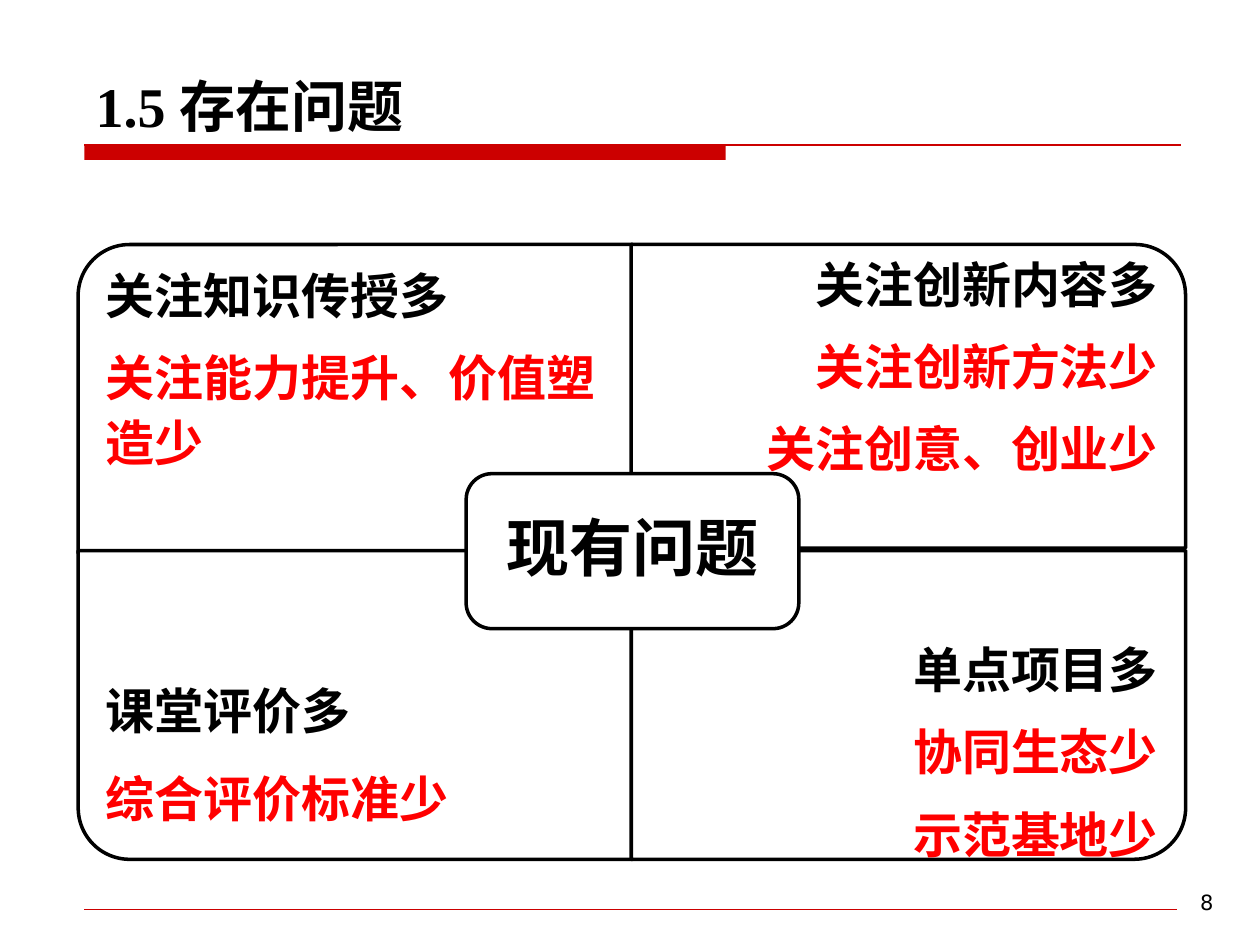
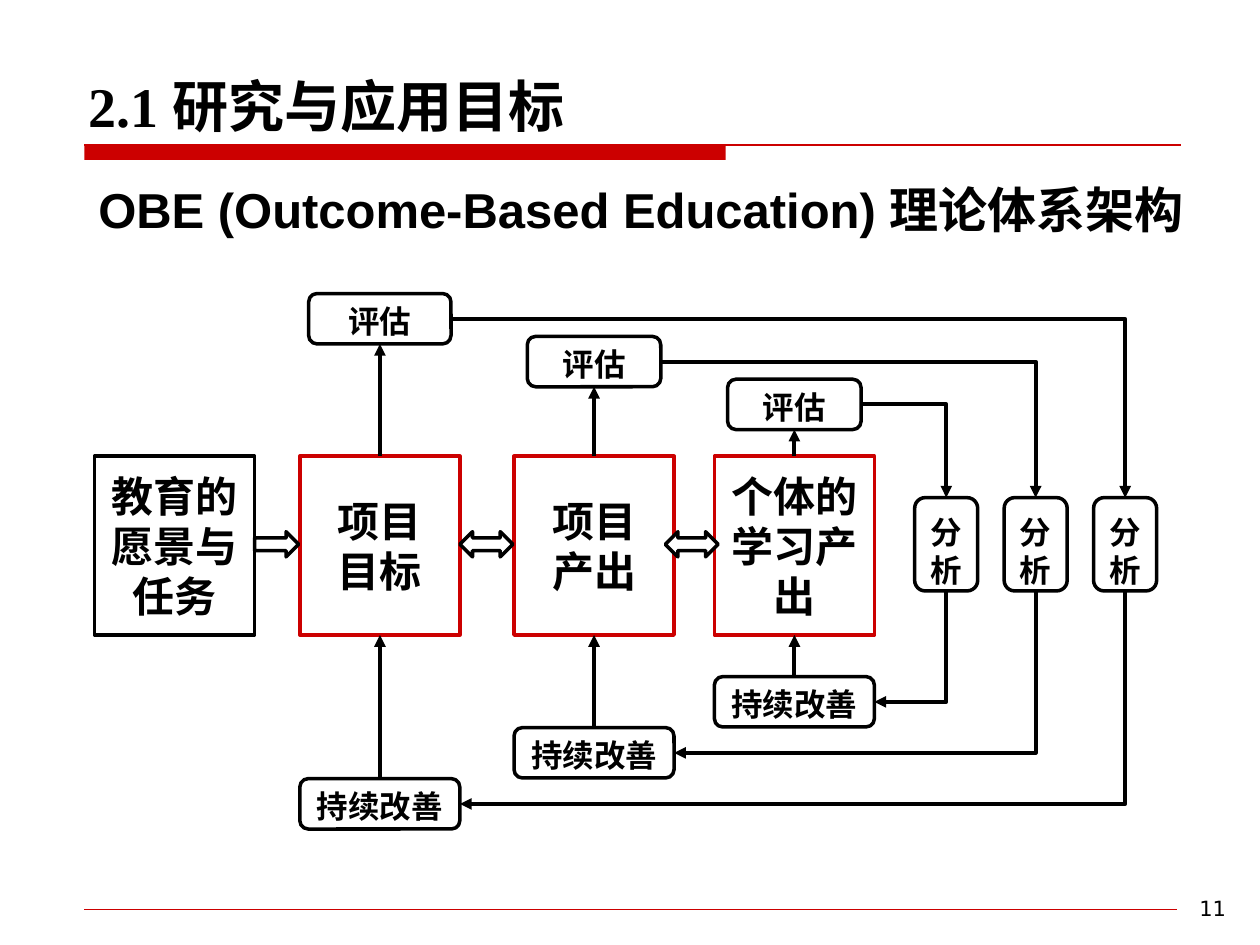
from lxml.etree import SubElement
from pptx import Presentation
from pptx.dml.color import RGBColor
from pptx.enum.shapes import MSO_CONNECTOR, MSO_SHAPE
from pptx.enum.text import MSO_ANCHOR, MSO_AUTO_SIZE, PP_ALIGN
from pptx.oxml.ns import qn
from pptx.util import Inches, Pt

BLACK = RGBColor(0, 0, 0)
WHITE = RGBColor(255, 255, 255)
BRAND = RGBColor(0xCC, 0, 0)
RED = RGBColor(255, 0, 0)
HAN, SERIF, SANS, DIGIT = "Noto Sans CJK SC", "Times New Roman", "Arial", "DejaVu Sans"
LEFT, MID, RIGHT = PP_ALIGN.LEFT, PP_ALIGN.CENTER, PP_ALIGN.RIGHT
TOP, CENTER = MSO_ANCHOR.TOP, MSO_ANCHOR.MIDDLE

# name, left, top, turn, text top, text height, align, line points, lines
QUADS = [
    (0.62, 1.94, 2.45, 270, 1.94, 1.84, LEFT, 37, ["关注知识传授多", "关注能力提升、价值塑造少"]),
    (5.01, 1.94, 2.41, 0, 1.94, 1.8, RIGHT, 37, ["关注创新内容多", "关注创新方法少", "关注创意、创业少"]),
    (0.62, 4.37, 2.45, 180, 4.98, 1.84, LEFT, 40, ["课堂评价多", "综合评价标准少"]),
    (5.01, 4.37, 2.45, 90, 4.98, 1.84, RIGHT, 37, ["单点项目多", "协同生态少", "示范基地少"]),
]
HUB = "现有问题"

THEME = "OBE (Outcome-Based Education) 理论体系架构"
STAGES = [
    (0.75, "教育的愿景与任务", BLACK),
    (2.38, "项目\n目标", BRAND),
    (4.08, "项目\n产出", BRAND),
    (5.67, "个体的学习产出", BRAND),
]
ARROWS = [
    (2.02, 0.35, MSO_SHAPE.RIGHT_ARROW),
    (3.65, 0.42, MSO_SHAPE.LEFT_RIGHT_ARROW),
    (5.28, 0.42, MSO_SHAPE.LEFT_RIGHT_ARROW),
]
RATE, STUDY, MEND = "评估", "分析", "持续改善"
RATE_W = [1.13, 1.06, 1.06]
STAGE_Y, STAGE_W, STAGE_H = 3.62, 1.27, 1.42
STUDY_Y, STUDY_W, STUDY_H = 3.95, 0.5, 0.74
TAG_H = 0.4


def write(shape, text, size, font=HAN, align=MID, anchor=TOP, pitch=None,
          pad=(0.1, 0.05, 0.1, 0.05), bold=True, after=0, accent=BLACK):
    """Fill a shape with text, colouring paragraphs after the first by accent."""
    frame = shape.text_frame
    frame.text = text
    frame.word_wrap = True
    frame.auto_size = MSO_AUTO_SIZE.NONE
    frame.vertical_anchor = anchor
    (frame.margin_left, frame.margin_top,
     frame.margin_right, frame.margin_bottom) = map(Inches, pad)
    for i, para in enumerate(frame.paragraphs):
        para.alignment = align
        para.space_after = Pt(after)
        if pitch:
            para.line_spacing = pitch
        for run in para.runs:
            run.font.size = Pt(size)
            run.font.bold = bold
            run.font.name = font
            run.font.color.rgb = accent if i else BLACK
            SubElement(run._r.get_or_add_rPr(), qn("a:ea")).set("typeface", HAN)


def label(slide, box, text, size, **look):
    """Add a text box."""
    write(slide.shapes.add_textbox(*map(Inches, box)), text, size, **look)


def block(slide, kind, box, line=BLACK, fill=WHITE):
    """Add an outlined preset shape."""
    shape = slide.shapes.add_shape(kind, *map(Inches, box))
    shape.shadow.inherit = False
    shape.fill.solid()
    shape.fill.fore_color.rgb = fill
    if line is None:
        shape.line.fill.background()
    else:
        shape.line.color.rgb = line
        shape.line.width = Pt(2)
    return shape


def link(slide, start, end, color=BLACK, width=2.25, head=True, kind=MSO_CONNECTOR.STRAIGHT):
    """Add a connector, with an arrowhead at its end if wanted."""
    line = slide.shapes.add_connector(kind, *map(Inches, (*start, *end)))
    line.line.color.rgb = color
    line.line.width = Pt(width)
    props = line._element.spPr
    if head:
        SubElement(props.find(qn("a:ln")), qn("a:tailEnd")).set("type", "triangle")
    SubElement(props, qn("a:effectLst"))
    return props


def bend(slide, start, end, turn=False):
    """Add a one-corner arrow: right then down, or down then left when turned."""
    if turn:
        (x1, y1), (x2, y2) = start, end
        x, y = (x1 + x2) / 2, (y1 + y2) / 2
        w, h = (y2 - y1) / 2, (x1 - x2) / 2
        start, end = (x - w, y - h), (x + w, y + h)
    props = link(slide, start, end, kind=MSO_CONNECTOR.ELBOW)
    props.find(qn("a:prstGeom")).set("prst", "bentConnector2")
    if turn:
        props.find(qn("a:xfrm")).set("rot", "5400000")


def start_slide(deck, text, box, page, spot):
    """Add a slide with its title, red band, footer rule and page number."""
    slide = deck.slides.add_slide(deck.slide_layouts[5])
    block(slide, MSO_SHAPE.RECTANGLE, (0.67, 1.15, 5.09, 0.12), None, BRAND)
    link(slide, (0.67, 1.15), (9.37, 1.15), BRAND, 0.75, False)
    link(slide, (0.67, 7.22), (9.34, 7.22), BRAND, 0.25, False)
    label(slide, (*spot, 2.17, 0.52), page, 12, font=DIGIT, align=RIGHT, bold=False)
    title = slide.shapes.title
    title.left, title.top, title.width, title.height = map(Inches, box)
    write(title, text, 32, SERIF, LEFT, MSO_ANCHOR.BOTTOM, pad=(0.1, 0.05, 0.1, 0.01))
    return slide


def draw_issues(deck):
    """Build the four quadrants around the hub."""
    slide = start_slide(deck, "1.5 存在问题", (0.66, 0.13, 8.98, 0.98), "8", (7.56, 7.01))
    wide = 4.4
    for x, y, high, turn, top, tall, align, pitch, lines in QUADS:
        w, h = (high, wide) if turn % 180 else (wide, high)
        box = (x + (wide - w) / 2, y + (high - h) / 2, w, h)
        block(slide, MSO_SHAPE.ROUND_1_RECTANGLE, box).rotation = turn
        label(slide, (x, top, wide, tall), "\n".join(lines), 28, align=align, anchor=CENTER,
              pitch=Pt(pitch), pad=(0.22, 0.3, 0.22, 0.22), after=10, accent=RED)
    hub = block(slide, MSO_SHAPE.ROUNDED_RECTANGLE, (3.7, 3.76, 2.64, 1.23))
    write(hub, HUB, 36, anchor=CENTER, pitch=0.9)


def draw_loops(deck):
    """Build the stage row and its three feedback loops."""
    slide = start_slide(deck, "2.1 研究与应用目标", (0.6, 0.13, 9.41, 0.98), "11", (7.66, 7.06))
    label(slide, (0.6, 1.43, 8.97, 0.58), THEME, 28, font=SANS, pitch=0.9)
    for x, text, color in STAGES:
        stage = block(slide, MSO_SHAPE.RECTANGLE, (x, STAGE_Y, STAGE_W, STAGE_H), color)
        write(stage, text, 24, anchor=CENTER, pitch=Pt(28.8))
    for x, w, kind in ARROWS:
        block(slide, kind, (x, 4.22, w, 0.2))

    def tag(box, text, **look):
        write(block(slide, MSO_SHAPE.ROUNDED_RECTANGLE, box), text, 18, SERIF, **look)

    for i, (x, _, _) in enumerate(STAGES[1:]):
        mid, wide = x + STAGE_W / 2, RATE_W[i]
        rate_y, mend_y, study_x = 2.33 + 0.34 * i, 6.18 - 0.405 * i, 8.68 - 0.71 * i
        hook = study_x + STUDY_W / 2
        tag((mid - wide / 2, rate_y, wide, TAG_H), RATE)
        tag((study_x, STUDY_Y, STUDY_W, STUDY_H), STUDY, align=LEFT,
            pitch=Pt(21.6), pad=(0.1, 0.1, 0.1, 0))
        tag((x, mend_y, STAGE_W, TAG_H), MEND)
        link(slide, (mid, STAGE_Y), (mid, rate_y + TAG_H))
        bend(slide, (mid + wide / 2, rate_y + TAG_H / 2), (hook, STUDY_Y))
        bend(slide, (hook, STUDY_Y + STUDY_H), (x + STAGE_W, mend_y + TAG_H / 2), True)
        link(slide, (mid, mend_y), (mid, STAGE_Y + STAGE_H))


def main():
    """Build and save the deck."""
    deck = Presentation()
    deck.slide_width, deck.slide_height = Inches(10), Inches(7.5)
    draw_issues(deck)
    draw_loops(deck)
    deck.save("out.pptx")


if __name__ == "__main__":
    main()
